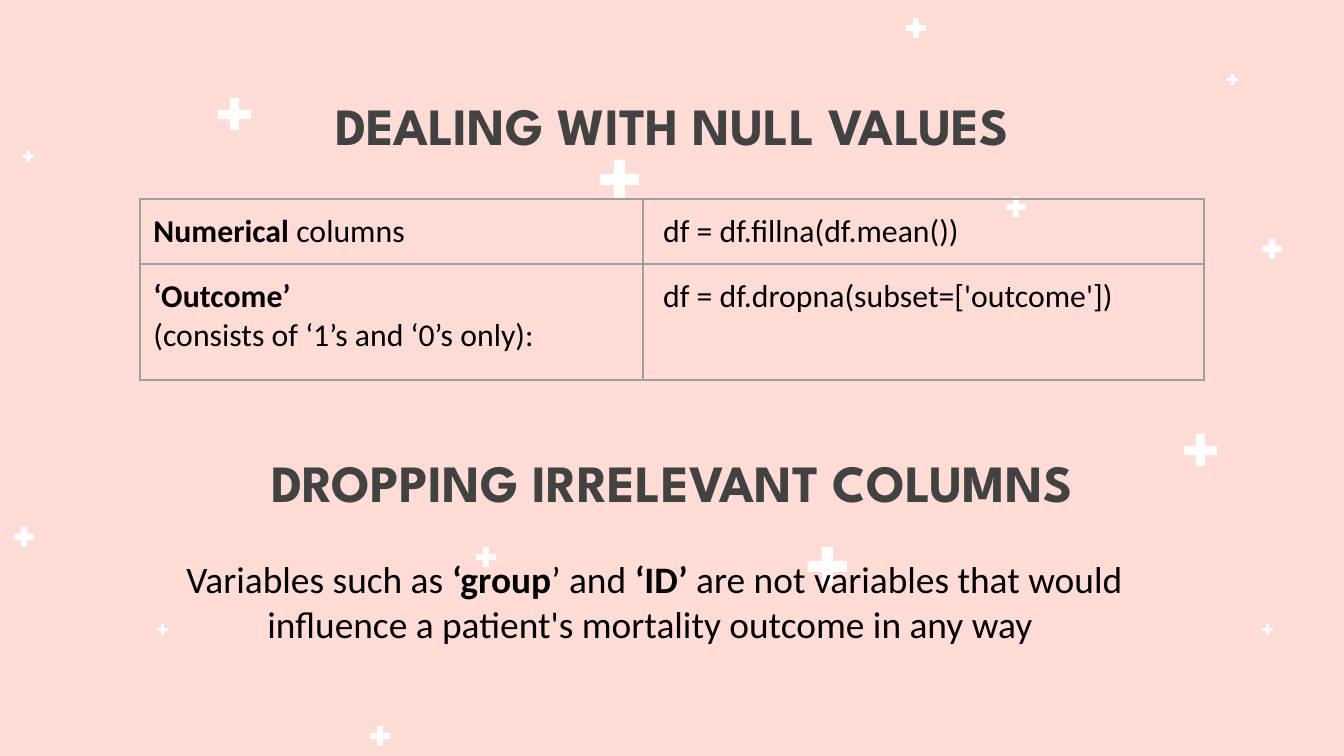
from typing import NamedTuple

from lxml import etree
from pptx import Presentation
from pptx.dml.color import RGBColor
from pptx.enum.shapes import MSO_SHAPE
from pptx.enum.text import MSO_ANCHOR, MSO_AUTO_SIZE, PP_ALIGN
from pptx.oxml.ns import qn
from pptx.util import Emu, Inches, Pt

SLIDE_W, SLIDE_H = 1344, 756
EMU_PER_PX = 9144000 / SLIDE_W

PINK = RGBColor(0xFF, 0xDC, 0xD6)
WHITE = RGBColor(0xFF, 0xFF, 0xFF)
CHARCOAL = RGBColor(0x42, 0x42, 0x42)
BLACK = RGBColor(0x00, 0x00, 0x00)
GREY = RGBColor(0x9E, 0x9E, 0x9E)

HEADING_FONT, BODY_FONT = "League Spartan", "Calibri"
RECTANGLE = MSO_SHAPE.RECTANGLE
CENTER, LEFT = PP_ALIGN.CENTER, PP_ALIGN.LEFT
TOP, MIDDLE = MSO_ANCHOR.TOP, MSO_ANCHOR.MIDDLE
GROW = MSO_AUTO_SIZE.SHAPE_TO_FIT_TEXT

PADDING = Inches(0.1)
CODE_INDENT = Inches(0.15)
ARM_RATIO = 0.36
BORDER_WIDTH = Pt(0.75)


class Sparkle(NamedTuple):
    left: int
    top: int
    size: int


class Box(NamedTuple):
    left: int
    top: int
    width: int
    height: int


class Span(NamedTuple):
    text: str
    bold: bool = False


class Style(NamedTuple):
    font: str
    size: int
    color: RGBColor
    align: PP_ALIGN


class Heading(NamedTuple):
    text: str
    box: Box


HEADING = Style(HEADING_FONT, 28, CHARCOAL, CENTER)
BODY = Style(BODY_FONT, 20, BLACK, CENTER)
CELL = Style(BODY_FONT, 17, BLACK, LEFT)

SPARKLES = [
    Sparkle(1184, 434, 33), Sparkle(906, 18, 20), Sparkle(1262, 239, 20),
    Sparkle(1006, 197, 20), Sparkle(1227, 74, 11), Sparkle(1262, 624, 11),
    Sparkle(600, 160, 39), Sparkle(218, 98, 33), Sparkle(370, 726, 20),
    Sparkle(14, 527, 20), Sparkle(476, 547, 20), Sparkle(157, 624, 11),
    Sparkle(23, 151, 11), Sparkle(808, 547, 39),
]
HEADINGS = [
    Heading("DEALING WITH NULL VALUES", Box(70, 82, 1204, 85)),
    Heading("DROPPING IRRELEVANT COLUMNS", Box(105, 439, 1134, 85)),
]
EXPLANATION = [[
    Span("Variables such as "), Span("‘group", True), Span("’ and "), Span("‘ID’", True),
    Span(" are not variables that would influence a patient's mortality outcome in any way "),
]]
EXPLANATION_BOX = Box(157, 543, 995, 118)

TABLE_LEFT, TABLE_TOP = 140, 199
COLUMN_WIDTHS = [503, 561]
ROW_HEIGHTS = [54, 116]
TABLE_ROWS = [
    [
        [[Span("Numerical ", True), Span("columns")]],
        [[Span("df = df.fillna(df.mean())")]],
    ],
    [
        [[Span("‘Outcome’", True)], [Span("(consists of ‘1’s and ‘0’s only):")]],
        [[Span("df = df.dropna(subset=['outcome'])")]],
    ],
]


def px(value: int) -> Emu:
    return Emu(round(value * EMU_PER_PX))


def write(tf, paragraphs: list[list[Span]], style: Style) -> None:
    for i, spans in enumerate(paragraphs):
        p = tf.paragraphs[0] if i == 0 else tf.add_paragraph()
        p.alignment = style.align
        for span in spans:
            r = p.add_run()
            r.text = span.text
            r.font.name = style.font
            r.font.size = Pt(style.size)
            r.font.color.rgb = style.color
            r.font.bold = span.bold


def set_padding(target, left: Emu = PADDING) -> None:
    """Set the inner margins of a text frame or a table cell."""
    target.margin_left = left
    target.margin_right = target.margin_top = target.margin_bottom = PADDING


def add_bar(s, box: Box) -> None:
    sp = s.shapes.add_shape(RECTANGLE, *map(px, box))
    sp.shadow.inherit = False
    sp.fill.solid()
    sp.fill.fore_color.rgb = WHITE
    sp.line.fill.background()


def add_sparkle(s, sparkle: Sparkle) -> None:
    """Cross an upright bar with a level one; large sparkles are a pixel less tall."""
    left, top, size = sparkle
    arm = round(size * ARM_RATIO)
    thickness = size - 2 * arm
    add_bar(s, Box(left + arm, top, thickness, size - size // 33))
    add_bar(s, Box(left, top + arm, size, thickness))


def add_text(s, box: Box, paragraphs: list[list[Span]], style: Style, anchor: MSO_ANCHOR):
    tf = s.shapes.add_textbox(*map(px, box)).text_frame
    tf.word_wrap = True
    tf.vertical_anchor = anchor
    set_padding(tf)
    write(tf, paragraphs, style)
    return tf


def add_borders(cell) -> None:
    tc_pr = cell._tc.get_or_add_tcPr()
    for i, side in enumerate(("lnL", "lnR", "lnT", "lnB")):
        ln = etree.Element(qn(f"a:{side}"), w=str(BORDER_WIDTH))
        fill = etree.SubElement(ln, qn("a:solidFill"))
        etree.SubElement(fill, qn("a:srgbClr"), val=str(GREY))
        tc_pr.insert(i, ln)


def add_code_table(s) -> None:
    table = s.shapes.add_table(
        len(ROW_HEIGHTS), len(COLUMN_WIDTHS), px(TABLE_LEFT), px(TABLE_TOP),
        px(sum(COLUMN_WIDTHS)), px(sum(ROW_HEIGHTS)),
    ).table
    table.first_row = table.horz_banding = False
    for column, width in zip(table.columns, COLUMN_WIDTHS):
        column.width = px(width)
    for row, height, contents in zip(table.rows, ROW_HEIGHTS, TABLE_ROWS):
        row.height = px(height)
        for cell, paragraphs, indent in zip(row.cells, contents, (PADDING, CODE_INDENT)):
            cell.fill.background()
            set_padding(cell, indent)
            add_borders(cell)
            write(cell.text_frame, paragraphs, CELL)


def main() -> None:
    prs = Presentation()
    prs.slide_width, prs.slide_height = px(SLIDE_W), px(SLIDE_H)
    s = prs.slides.add_slide(prs.slide_layouts[6])
    s.background.fill.solid()
    s.background.fill.fore_color.rgb = PINK

    for sparkle in SPARKLES:
        add_sparkle(s, sparkle)
    for heading in HEADINGS:
        add_text(s, heading.box, [[Span(heading.text, True)]], HEADING, MIDDLE)
    add_text(s, EXPLANATION_BOX, EXPLANATION, BODY, TOP).auto_size = GROW
    add_code_table(s)

    prs.save("out.pptx")


if __name__ == "__main__":
    main()
